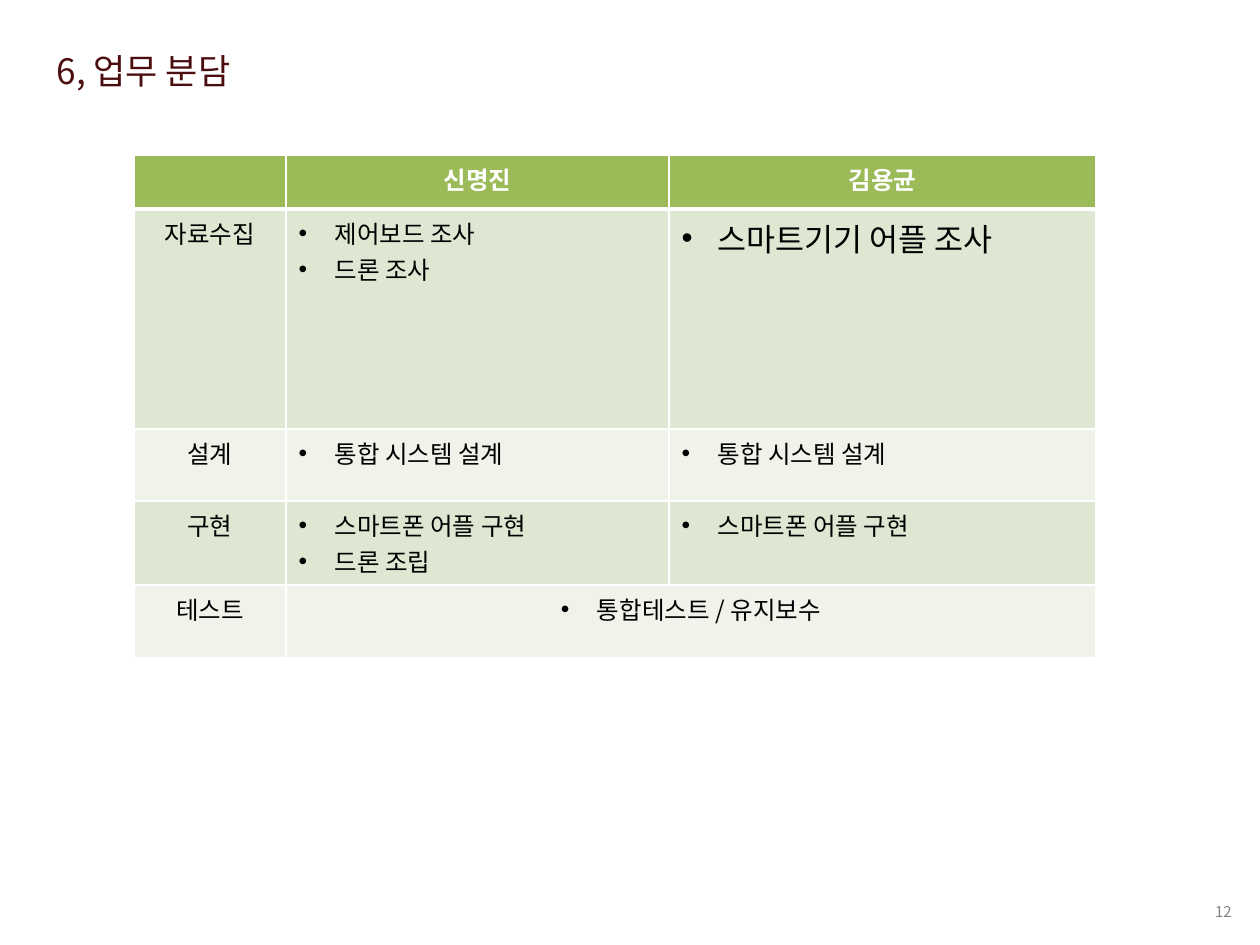
from dataclasses import dataclass

import pptx
import pptx.dml.color
import pptx.enum.text
import pptx.oxml
import pptx.oxml.ns
import pptx.util

PX = 914400 // 126
FONT = "Noto Sans CJK KR"
RGB = pptx.dml.color.RGBColor
MAROON, GRAY = RGB(0x4B, 0x0D, 0x0D), RGB(0x80, 0x80, 0x80)
WHITE, BLACK = RGB(0xFF, 0xFF, 0xFF), RGB(0, 0, 0)
HEADER_GREEN = RGB(0x9B, 0xBB, 0x59)
BANDS = (RGB(0xDE, 0xE7, 0xD1), RGB(0xEF, 0xF3, 0xEA))
ALIGN = pptx.enum.text.PP_ALIGN
ANCHOR = pptx.enum.text.MSO_ANCHOR
HANGING_INDENT = 36
COLUMN_WIDTHS = (152, 383, 427)


@dataclass
class Duty:
    """One table row: a stage and the tasks of each member."""
    stage: str
    tasks: tuple[tuple[str, ...], ...]
    height: int
    sizes: tuple[float, ...] = (14, 14)


DUTIES = (
    Duty("자료수집", (("제어보드 조사", "드론 조사"), ("스마트기기 어플 조사",)), 220, (14, 18)),
    Duty("설계", (("통합 시스템 설계",), ("통합 시스템 설계",)), 72),
    Duty("구현", (("스마트폰 어플 구현", "드론 조립"), ("스마트폰 어플 구현",)), 81),
    Duty("테스트", (("통합테스트 / 유지보수",),), 73),
)
MEMBERS = ("", "신명진", "김용균")
HEADER_HEIGHT = 54


def px(length: int) -> int:
    return pptx.util.Emu(length * PX)


def write(frame, *lines: str, size: float = 14, color: RGB = BLACK, bold: bool = False,
          align=ALIGN.LEFT, bullet: bool = False) -> None:
    """Fill a text frame with one paragraph per line."""
    for index, line in enumerate(lines):
        paragraph = frame.paragraphs[0] if index == 0 else frame.add_paragraph()
        paragraph.alignment = align
        if bullet:
            properties = paragraph._p.get_or_add_pPr()
            properties.set("marL", str(px(HANGING_INDENT)))
            properties.set("indent", str(-px(HANGING_INDENT)))
            for tag, name, value in (("buFont", "typeface", "Arial"), ("buChar", "char", "•")):
                mark = pptx.oxml.parse_xml(f'<a:{tag} {pptx.oxml.ns.nsdecls("a")} {name}="{value}"/>')
                properties.append(mark)
        paragraph.font.size = pptx.util.Pt(size)
        if not line:
            continue
        run = paragraph.add_run()
        run.text = line
        run.font.size = pptx.util.Pt(size)
        run.font.bold = bold
        run.font.color.rgb = color
        run.font.name = FONT
        east_asian = f'<a:ea {pptx.oxml.ns.nsdecls("a")} typeface="{FONT}"/>'
        run._r.get_or_add_rPr().append(pptx.oxml.parse_xml(east_asian))


def style_cell(cell, fill: RGB, bottom: float = 1) -> None:
    """Give a cell white borders and a plain fill."""
    for side, width in (("L", 1), ("R", 1), ("T", 1), ("B", bottom)):
        cell._tc.get_or_add_tcPr().append(pptx.oxml.parse_xml(
            f'<a:ln{side} {pptx.oxml.ns.nsdecls("a")} w="{pptx.util.Pt(width)}">'
            f'<a:solidFill><a:srgbClr val="{WHITE}"/></a:solidFill></a:ln{side}>'))
    cell.fill.solid()
    cell.fill.fore_color.rgb = fill


def place(shape, left: int, top: int, width: int, height: int) -> None:
    shape.left, shape.top = px(left), px(top)
    shape.width, shape.height = px(width), px(height)


def add_duty_table(slide) -> None:
    heights = (HEADER_HEIGHT, *(duty.height for duty in DUTIES))
    table = slide.shapes.add_table(len(heights), len(COLUMN_WIDTHS), px(134), px(155),
                                   px(sum(COLUMN_WIDTHS)), px(sum(heights))).table
    for column, width in zip(table.columns, COLUMN_WIDTHS):
        column.width = px(width)
    for row, height in zip(table.rows, heights):
        row.height = px(height)

    # Header row
    for column, member in enumerate(MEMBERS):
        cell = table.cell(0, column)
        style_cell(cell, HEADER_GREEN, bottom=3)
        write(cell.text_frame, member, color=WHITE, bold=True, align=ALIGN.CENTER)

    # Stage rows; a single task list spans both members
    for row, duty in enumerate(DUTIES, start=1):
        for column in range(len(MEMBERS)):
            style_cell(table.cell(row, column), BANDS[(row - 1) % 2])
        write(table.cell(row, 0).text_frame, duty.stage, align=ALIGN.CENTER)
        shared = len(duty.tasks) == 1
        if shared:
            table.cell(row, 1).merge(table.cell(row, 2))
        for column, (tasks, size) in enumerate(zip(duty.tasks, duty.sizes), start=1):
            write(table.cell(row, column).text_frame, *tasks, size=size, bullet=True,
                  align=ALIGN.CENTER if shared else ALIGN.LEFT)


def main() -> None:
    presentation = pptx.Presentation()
    presentation.slide_width, presentation.slide_height = px(1260), px(945)
    slide = presentation.slides.add_slide(presentation.slide_layouts[5])

    # Title
    title = slide.shapes.title
    place(title, 44, 43, 963, 55)
    title.text_frame.vertical_anchor = ANCHOR.MIDDLE
    title.text_frame.margin_top = title.text_frame.margin_bottom = 0
    write(title.text_frame, "6, 업무 분담", size=20, color=MAROON)

    add_duty_table(slide)

    # Page number
    page_number = slide.shapes.add_textbox(px(978), px(895), px(266), px(34)).text_frame
    page_number.word_wrap = True
    page_number.vertical_anchor = ANCHOR.MIDDLE
    write(page_number, "12", size=8.5, color=GRAY, align=ALIGN.RIGHT)

    presentation.save("out.pptx")


if __name__ == "__main__":
    main()
